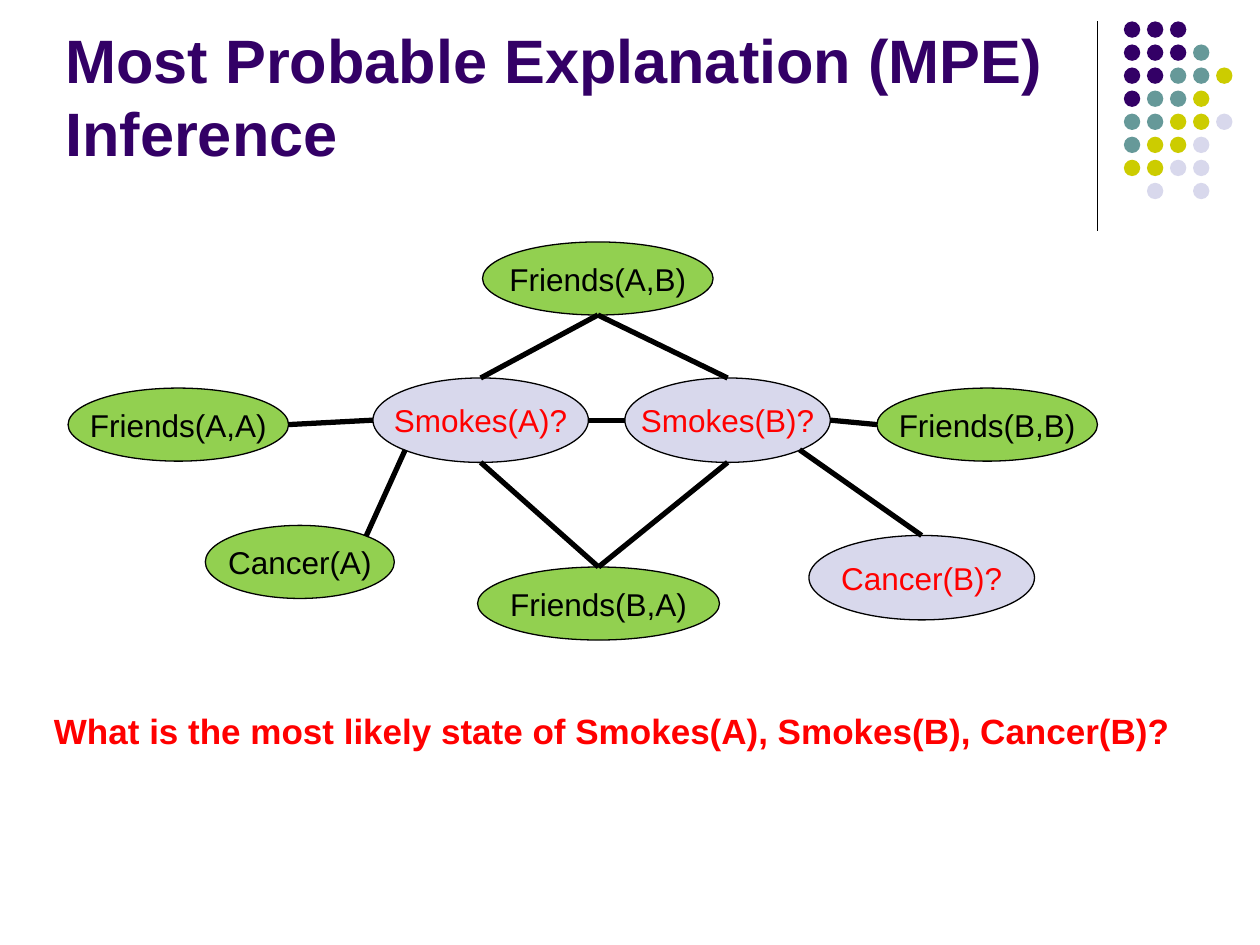
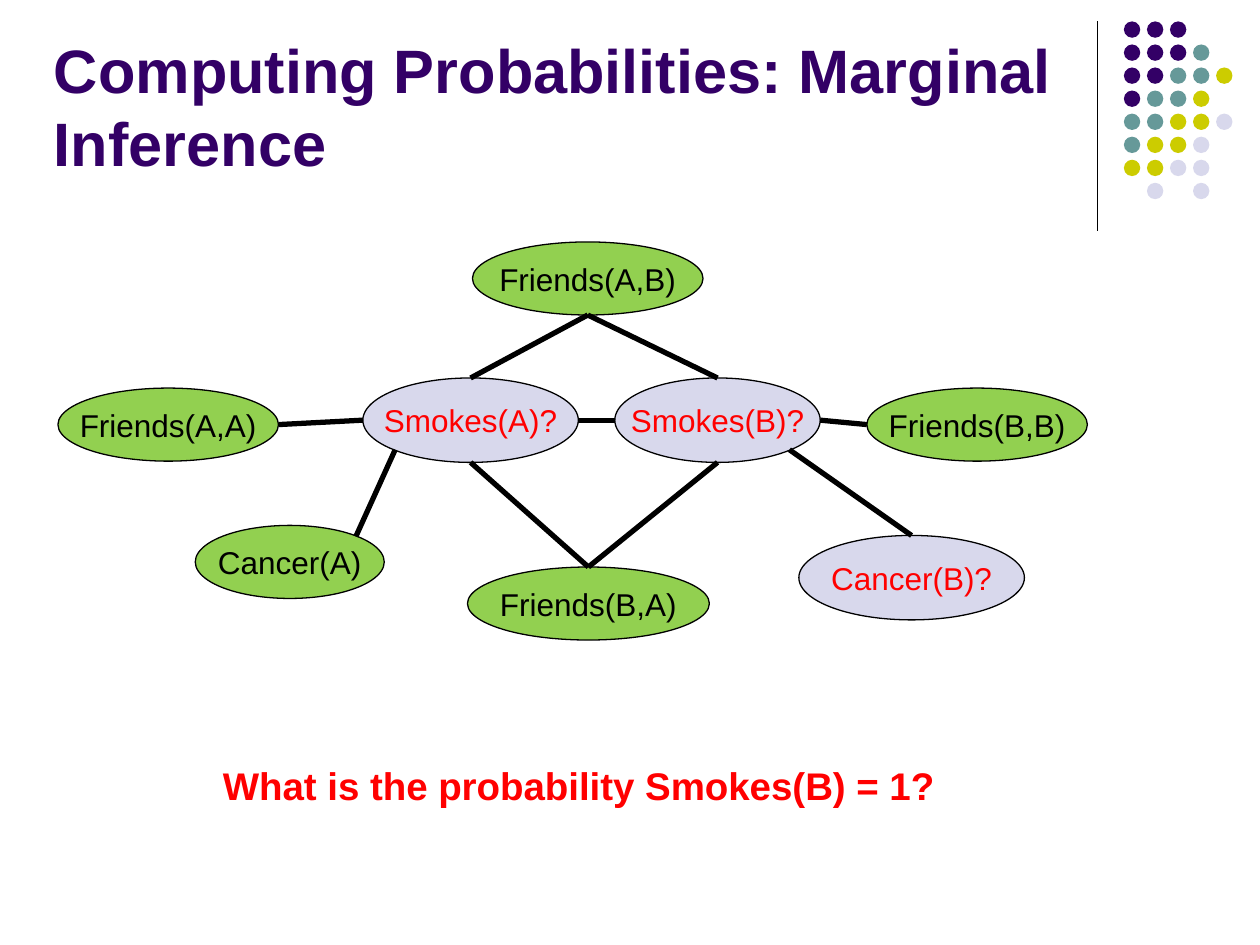
"""Build two slides that ask inference questions over one network of friends and smokers."""
import pptx
import pptx.dml.color
import pptx.enum.shapes
import pptx.enum.text
import pptx.oxml.ns
import pptx.util

Inches = pptx.util.Inches
RGBColor = pptx.dml.color.RGBColor
Shape = pptx.enum.shapes.MSO_SHAPE
Anchor = pptx.enum.text.MSO_ANCHOR
Align = pptx.enum.text.PP_ALIGN

PURPLE = RGBColor(0x33, 0x00, 0x66)
TEAL = RGBColor(0x66, 0x99, 0x99)
YELLOW = RGBColor(0xCC, 0xCC, 0x00)
LAVENDER = RGBColor(0xD8, 0xD8, 0xEC)
GREEN = RGBColor(0x92, 0xD0, 0x50)
RED = RGBColor(0xFF, 0x00, 0x00)
BLACK = RGBColor(0x00, 0x00, 0x00)

FONT = "Arial"
TITLE_FORMAT = {"size": 35, "bold": True, "color": PURPLE}
NODE_SIZE = 18

SLIDES = [
    {
        "title": "Most Probable Explanation (MPE)\vInference",
        "title_at": (0.42, 0.25, 8.25, 1.14),
        "network_shift": 0,
        "question": "What is the most likely state of Smokes(A), Smokes(B), Cancer(B)?",
        "question_at": (0.33, 5.58, 9.17, 0.44),
        "question_size": 20,
    },
    {
        "title": "Computing Probabilities: Marginal Inference",
        "title_at": (0.33, 0.25, 8.25, 1.22),
        "network_shift": -0.08,
        "question": "What is the probability Smokes(B) = 1?",
        "question_at": (1.67, 6, 6.25, 0.47),
        "question_size": 22,
    },
]

NODES = {
    "Cancer(A)": (1.63, 4.17, 1.5, 0.58),
    "Smokes(A)?": (2.96, 3, 1.71, 0.67),
    "Friends(A,A)": (0.54, 3.08, 1.75, 0.58),
    "Friends(B,A)": (3.79, 4.5, 1.92, 0.58),
    "Smokes(B)?": (4.96, 3, 1.63, 0.67),
    "Friends(A,B)": (3.83, 1.92, 1.83, 0.58),
    "Cancer(B)?": (6.42, 4.25, 1.79, 0.67),
    "Friends(B,B)": (6.96, 3.08, 1.75, 0.58),
}

EDGES = [
    ("Friends(B,A)", "top", "Smokes(A)?", "bottom"),
    ("Smokes(A)?", "right", "Smokes(B)?", "left"),
    ("Smokes(B)?", "bottom", "Friends(B,A)", "top"),
    ("Smokes(A)?", "lower left", "Cancer(A)", "upper right"),
    ("Friends(A,A)", "right", "Smokes(A)?", "left"),
    ("Friends(A,B)", "bottom", "Smokes(A)?", "top"),
    ("Smokes(B)?", "top", "Friends(A,B)", "bottom"),
    ("Smokes(B)?", "lower right", "Cancer(B)?", "top"),
    ("Friends(B,B)", "left", "Smokes(B)?", "right"),
]

NEAR, FAR = 0.15, 0.85
SITES = {
    "top": (0.5, 0),
    "bottom": (0.5, 1),
    "left": (0, 0.5),
    "right": (1, 0.5),
    "lower left": (NEAR, FAR),
    "lower right": (FAR, FAR),
    "upper right": (FAR, NEAR),
}

DOT_ROWS = ["PPP", "PPPT", "PPTTY", "PTTY", "TTYYL", "TYYL", "YYLL", " L L"]
DOT_COLORS = {"P": PURPLE, "T": TEAL, "Y": YELLOW, "L": LAVENDER}
DOT_LEFT, DOT_TOP, DOT_PITCH, DOT_SIZE = 8.92, 0.17, 0.183, 0.13
DIVIDER = ((8.71, 0.17), (8.71, 1.83))


def write_text(shape, text, wrap, anchor, align, size, color, bold=False):
    """Put one formatted paragraph into a shape."""
    frame = shape.text_frame
    frame.word_wrap = wrap
    frame.vertical_anchor = anchor
    para = frame.paragraphs[0]
    para.text = text
    para.alignment = align
    font_values = {"name": FONT, "size": pptx.util.Pt(size), "bold": bold}
    for span in para.runs:
        for name, value in font_values.items():
            setattr(span.font, name, value)
        span.font.color.rgb = color


def add_text(page, place, text, anchor, **text_format):
    """Add a wrapping, left-aligned text box."""
    box = page.shapes.add_textbox(*map(Inches, place))
    write_text(box, text, True, anchor, Align.LEFT, **text_format)


def add_ellipse(page, place, fill, outlined):
    """Add a flat ellipse, with a thin black outline if asked."""
    ellipse = page.shapes.add_shape(Shape.OVAL, *map(Inches, place))
    ellipse.shadow.inherit = False
    ellipse.fill.solid()
    ellipse.fill.fore_color.rgb = fill
    if outlined:
        ellipse.line.color.rgb = BLACK
        ellipse.line.width = pptx.util.Pt(0.75)
    else:
        ellipse.line.fill.background()
    return ellipse


def add_line(page, start, end, width):
    """Add a straight black line without a shadow."""
    line = page.shapes.add_connector(
        pptx.enum.shapes.MSO_CONNECTOR.STRAIGHT, *map(Inches, start + end)
    )
    line.line.color.rgb = BLACK
    line.line.width = pptx.util.Pt(width)
    properties = line._element.spPr
    properties.append(properties.makeelement(pptx.oxml.ns.qn("a:effectLst"), {}))


def add_corner(page):
    """Draw the divider and the grid of dots in the top right corner."""
    add_line(page, *DIVIDER, 0.75)
    for row, letters in enumerate(DOT_ROWS):
        for column, letter in enumerate(letters):
            if letter in DOT_COLORS:
                left = DOT_LEFT + column * DOT_PITCH
                top = DOT_TOP + row * DOT_PITCH
                place = (left, top, DOT_SIZE, DOT_SIZE)
                add_ellipse(page, place, DOT_COLORS[letter], False)


def site_point(node, site, shift):
    """Return the point where an edge meets a node."""
    left, top, width, height = NODES[node]
    across, down = SITES[site]
    return left + shift + across * width, top + down * height


def add_network(page, shift):
    """Draw the nodes, with the unknown ones marked, and their edges."""
    for label, (left, top, width, height) in NODES.items():
        unknown = label.endswith("?")
        fill, color = (LAVENDER, RED) if unknown else (GREEN, BLACK)
        node = add_ellipse(page, (left + shift, top, width, height), fill, True)
        write_text(node, label, False, Anchor.MIDDLE, Align.CENTER, NODE_SIZE, color)
    for source, source_site, target, target_site in EDGES:
        start = site_point(source, source_site, shift)
        end = site_point(target, target_site, shift)
        add_line(page, start, end, 3)


def main():
    """Build and save the deck."""
    deck = pptx.Presentation()
    deck.slide_width, deck.slide_height = Inches(10), Inches(7.5)
    for content in SLIDES:
        page = deck.slides.add_slide(deck.slide_layouts[6])
        add_corner(page)
        add_text(page, content["title_at"], content["title"], Anchor.BOTTOM, **TITLE_FORMAT)
        add_network(page, content["network_shift"])
        add_text(page, content["question_at"], content["question"], Anchor.TOP,
                 size=content["question_size"], color=RED, bold=True)
    deck.save("out.pptx")


if __name__ == "__main__":
    main()
